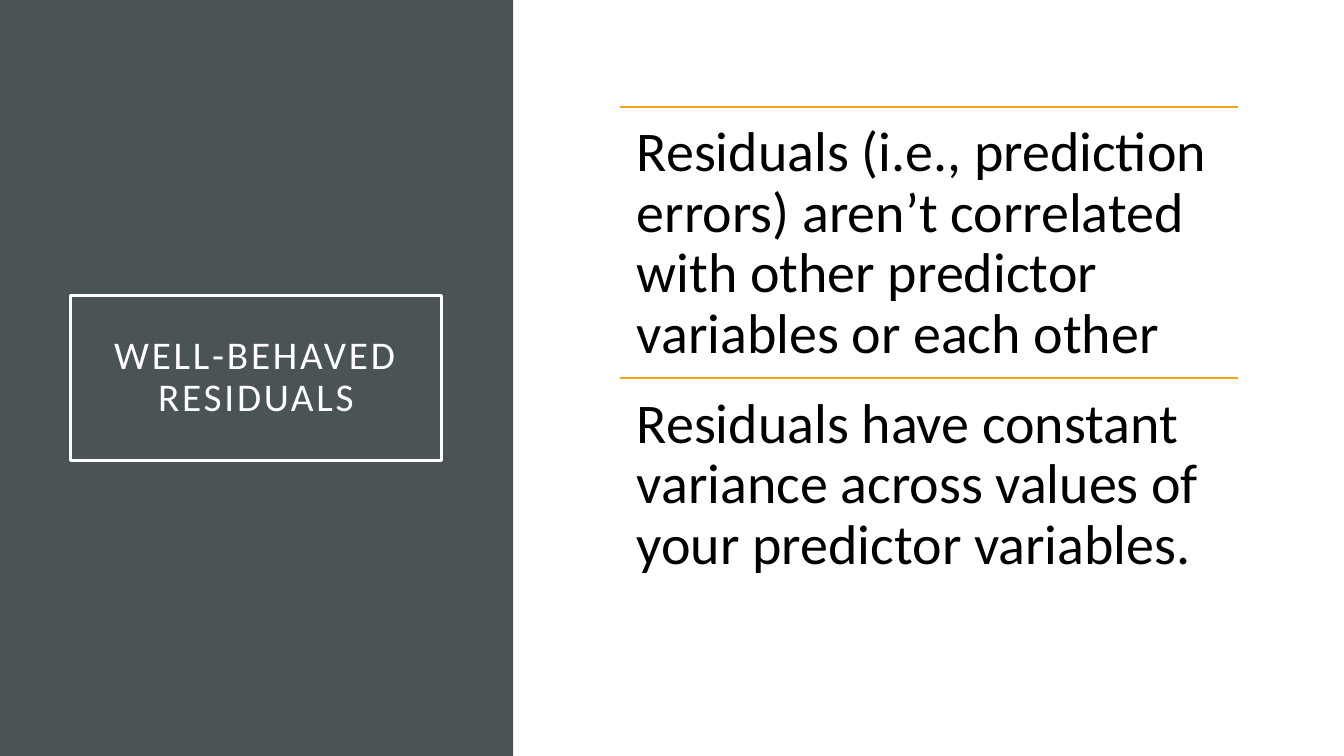
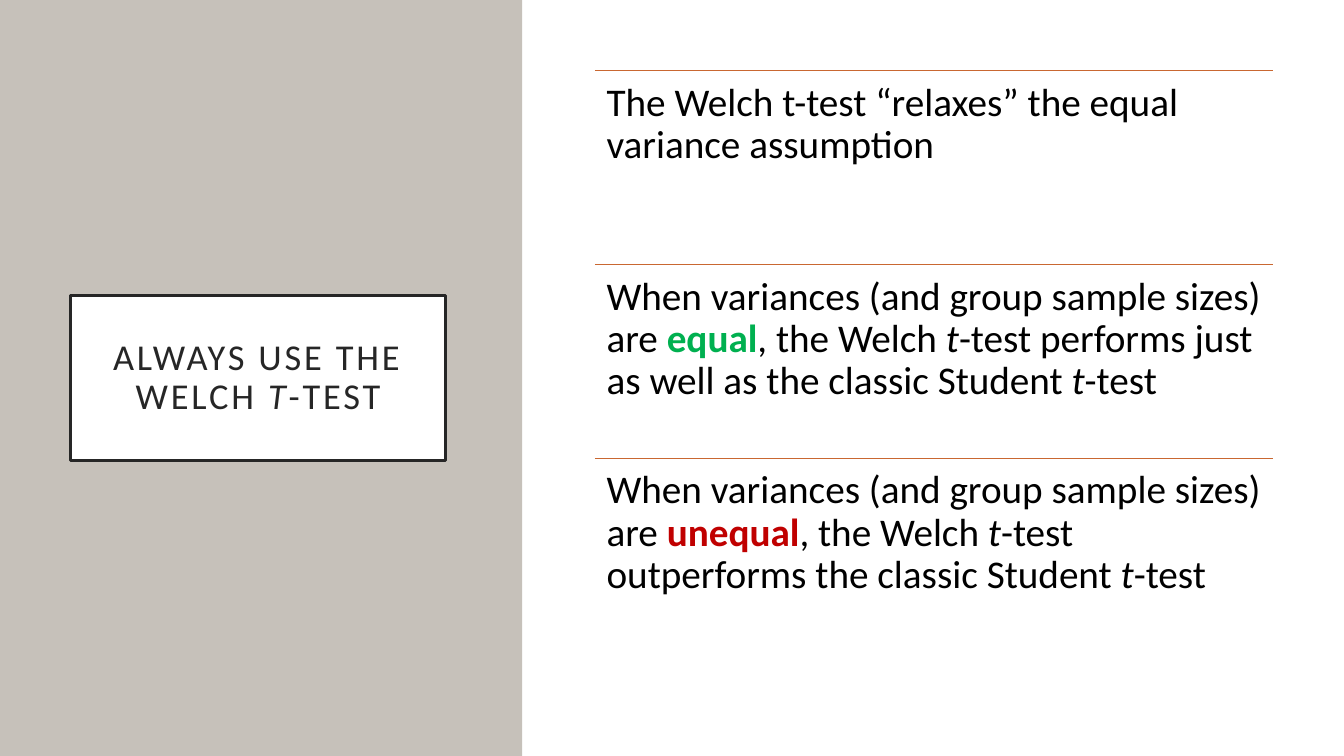
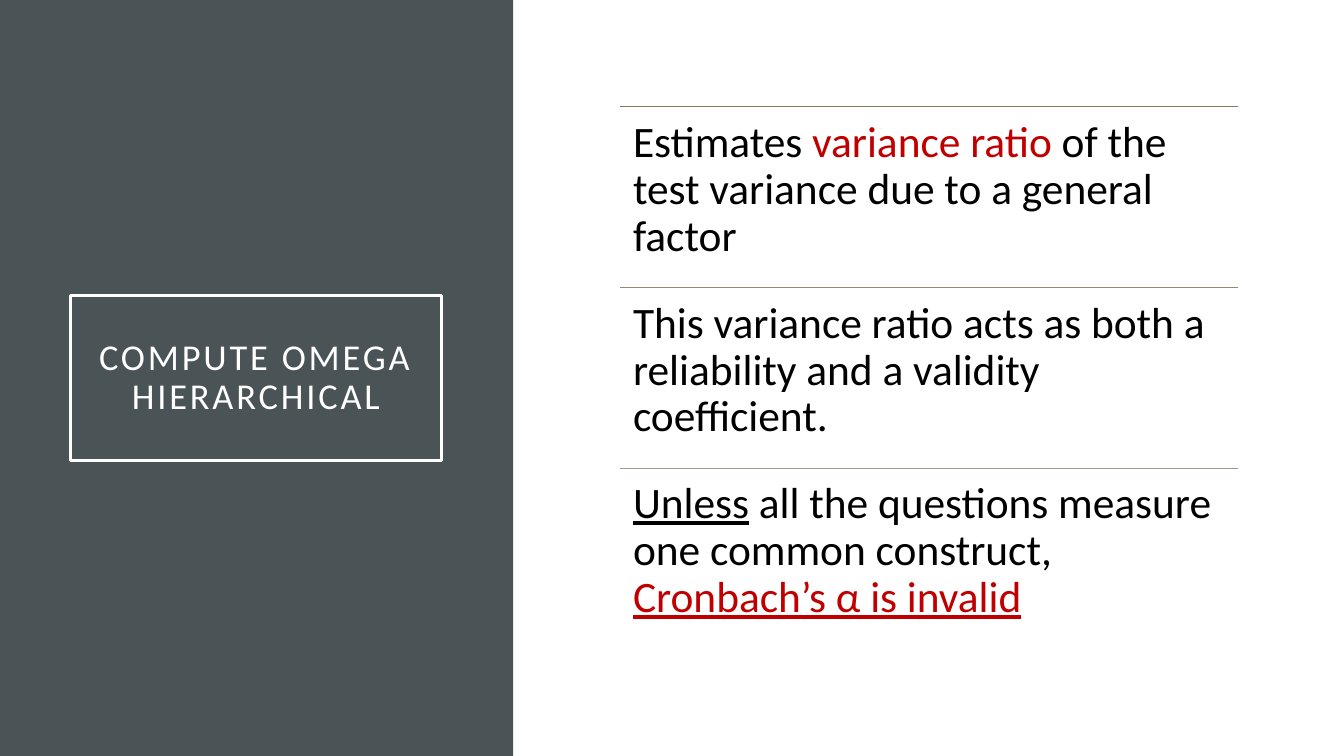
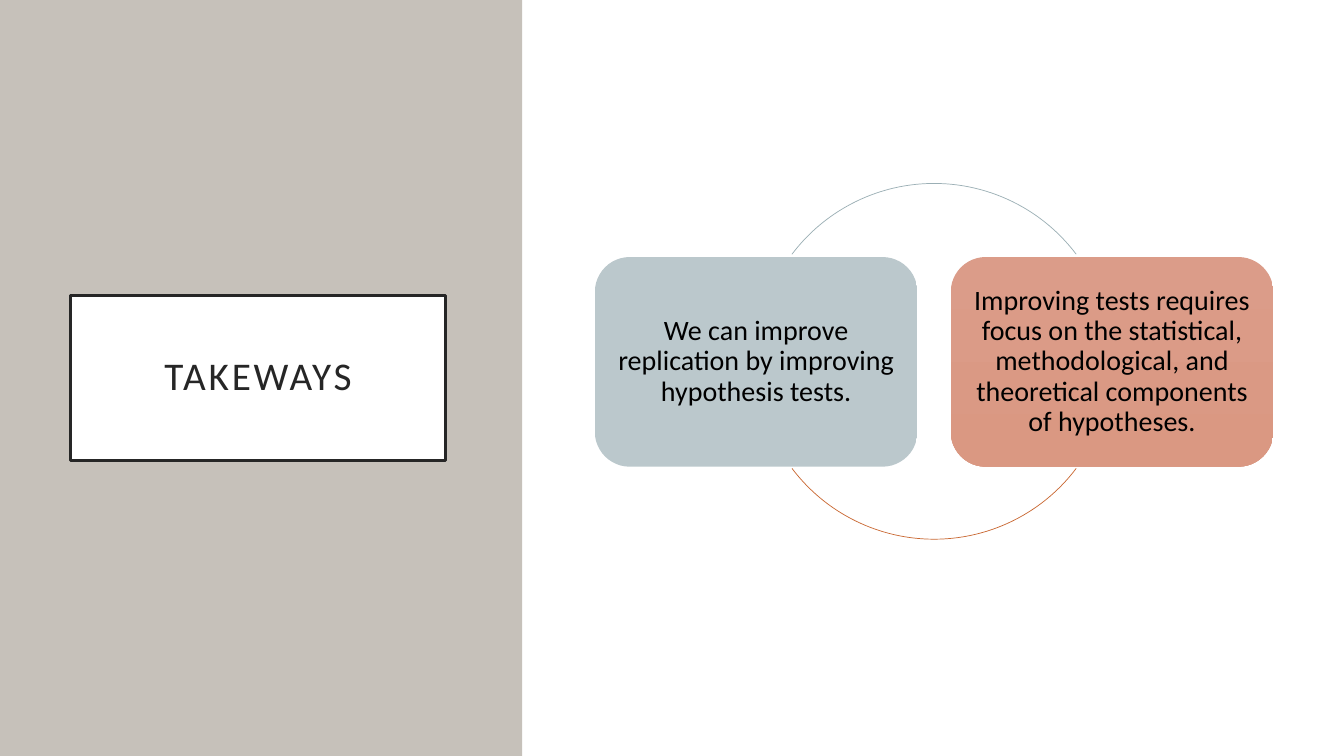
import pptx
import pptx.dml.color
import pptx.enum.shapes
import pptx.enum.text
import pptx.util
import pptx.oxml.ns
import lxml.etree

Inches = pptx.util.Inches
Pt = pptx.util.Pt
SHAPE = pptx.enum.shapes.MSO_SHAPE
ANCHOR = pptx.enum.text.MSO_ANCHOR
ALIGN = pptx.enum.text.PP_ALIGN

FONT = "Calibri"
BLACK, RED, GREEN, ORANGE = "000000", "C00000", "00B050", "C96731"

# The two slide styles: side band, title box and list area (left, top, width, height)
DARK = dict(band="4A5356", band_width=5.09, title_fill=None, title_color="FFFFFF",
            title_width=3.68, area=(6.15, 1.06, 6.13, 5.38))
LIGHT = dict(band="C6C1BA", band_width=5.18, title_fill="FFFFFF", title_color="262626",
             title_width=3.72, area=(5.9, 0.7, 6.73, 5.77))

# Run formats
ITALIC = {"italic": True}
T_TEST = ("t", ITALIC)


def rgb(color):
    return pptx.dml.color.RGBColor.from_string(color)


class Deck:
    def __init__(self):
        self.prs = pptx.Presentation()
        self.prs.slide_width = Inches(13.33)
        self.prs.slide_height = Inches(7.5)
        self.slide = None
        self.style = None

    def add_slide(self, style, title, size):
        """Start a slide with its side band and boxed title."""
        self.style = style
        self.slide = self.prs.slides.add_slide(self.prs.slide_layouts[5])
        sp = self.slide.shapes.title
        band = self.shape(SHAPE.RECTANGLE, (0, 0, style["band_width"], 7.5))
        band.fill.solid()
        band.fill.fore_color.rgb = rgb(style["band"])
        sp.element.addprevious(band.element)

        sp.left, sp.top = Inches(0.7), Inches(2.93)
        sp.width, sp.height = Inches(style["title_width"]), Inches(1.64)
        if style["title_fill"]:
            sp.fill.solid()
            sp.fill.fore_color.rgb = rgb(style["title_fill"])
        sp.line.color.rgb = rgb(style["title_color"])
        sp.line.width = Pt(2.5)
        self.text(sp, title, size, style["title_color"], Inches(0.2),
                  ANCHOR.MIDDLE, ALIGN.CENTER, spacing=2)

    def shape(self, kind, box):
        sp = self.slide.shapes.add_shape(kind, *map(Inches, box))
        sp.shadow.inherit = False
        sp.line.fill.background()
        return sp

    def text(self, sp, parts, size, color=BLACK, inset=None, anchor=ANCHOR.TOP,
             align=ALIGN.LEFT, spacing=0):
        """Fill a shape with one paragraph; parts are strings or (string, format)."""
        tf = sp.text_frame
        tf.word_wrap = True
        tf.auto_size = pptx.enum.text.MSO_AUTO_SIZE.NONE
        tf.vertical_anchor = anchor
        if inset is None:
            inset = Pt(size * 0.3)
        tf.margin_left = tf.margin_right = tf.margin_top = tf.margin_bottom = inset
        p = tf.paragraphs[0]
        p.alignment = align
        p.line_spacing = 0.9
        for part in parts:
            words, look = (part, {}) if isinstance(part, str) else part
            r = p.add_run()
            r.text = words
            r.font.name = FONT
            r.font.size = Pt(size)
            r.font.color.rgb = rgb(look.get("color", color))
            r.font.bold = look.get("bold", False)
            r.font.italic = look.get("italic", False)
            r.font.underline = look.get("underline", False)
            if spacing:
                r.font._element.set("spc", str(spacing * 100))

    def rule(self, left, top, width, color, weight):
        line = self.slide.shapes.add_connector(
            pptx.enum.shapes.MSO_CONNECTOR.STRAIGHT,
            Inches(left), Inches(top), Inches(left + width), Inches(top))
        line.line.color.rgb = rgb(color)
        line.line.width = Pt(weight)
        lxml.etree.SubElement(line.element.spPr, pptx.oxml.ns.qn("a:effectLst"))

    def ruled_list(self, items, size, colors, weight):
        """Stack equal rows in the list area, each under a rule."""
        left, top, width, height = self.style["area"]
        row = height / len(items)
        for i, (parts, color) in enumerate(zip(items, colors)):
            y = top + i * row
            self.rule(left, y, width, color, weight)
            sp = self.slide.shapes.add_textbox(*map(Inches, (left, y, width, row)))
            self.text(sp, parts, size)

    def card(self, box, stops, words):
        sp = self.shape(SHAPE.ROUNDED_RECTANGLE, box)
        sp.fill.gradient()
        sp.fill.gradient_angle = 270
        for stop, color in zip(sp.fill.gradient_stops, stops):
            stop.color.rgb = rgb(color)
        self.text(sp, [words], 20, anchor=ANCHOR.MIDDLE, align=ALIGN.CENTER)

    def arc(self, box, start, end, color):
        """Draw an arc clockwise between two angles in degrees."""
        sp = self.shape(SHAPE.ARC, box)
        sp.fill.background()
        sp.adjustments[0] = start * 0.6
        sp.adjustments[1] = end * 0.6
        sp.line.color.rgb = rgb(color)
        sp.line.width = Pt(0.5)


def main():
    deck = Deck()

    # Slide 1: residuals
    deck.add_slide(DARK, ["WELL-BEHAVED RESIDUALS"], 28)
    deck.ruled_list([
        ["Residuals (i.e., prediction errors) aren’t correlated with other "
         "predictor variables or each other"],
        ["Residuals have constant variance across values of your predictor variables."],
    ], 40, ["F6A21D"] * 2, 1)

    # Slide 2: Welch t-test
    deck.add_slide(LIGHT, ["ALWAYS USE THE WELCH ", ("T", ITALIC), "-TEST"], 26)
    items = [["The Welch t-test “relaxes” the equal variance assumption"]]
    for word, color, verdict in (("equal", GREEN, "performs just as well as"),
                                 ("unequal", RED, "outperforms")):
        items.append(["When variances (and group sample sizes) are ",
                      (word, {"color": color, "bold": True}), ", the Welch ", T_TEST,
                      f"-test {verdict} the classic Student ", T_TEST, "-test"])
    deck.ruled_list(items, 28, [ORANGE] * 3, 1)

    # Slide 3: omega hierarchical
    deck.add_slide(DARK, ["COMPUTE OMEGA HIERARCHICAL"], 26)
    deck.ruled_list([
        ["Estimates ", ("variance ratio", {"color": RED}),
         " of the test variance due to a general factor"],
        ["This variance ratio acts as both a reliability and a validity coefficient."],
        [("Unless", {"underline": True}),
         " all the questions measure one common construct, ",
         ("Cronbach’s α is invalid", {"color": RED, "underline": True})],
    ], 31, ["87795D", "958973", "A0988C"], 0.5)

    # Slide 4: two cards joined by arcs
    deck.add_slide(LIGHT, ["TAKEWAYS"], 28)
    cards = [
        (("BBC8CC", "B8C6CB"), "We can improve replication by improving hypothesis tests."),
        (("DB9C89", "DA9882"), "Improving tests requires focus on the statistical, "
                               "methodological, and theoretical components of hypotheses."),
    ]
    for i, (stops, words) in enumerate(cards):
        deck.card((5.9 + i * 3.53, 2.55, 3.2, 2.08), stops, words)
    circle = (7.5, 1.82, 3.53, 3.53)
    deck.arc(circle, 217, 323, "9BAFB5")
    deck.arc(circle, 37, 143, ORANGE)

    deck.prs.save("out.pptx")


if __name__ == "__main__":
    main()
